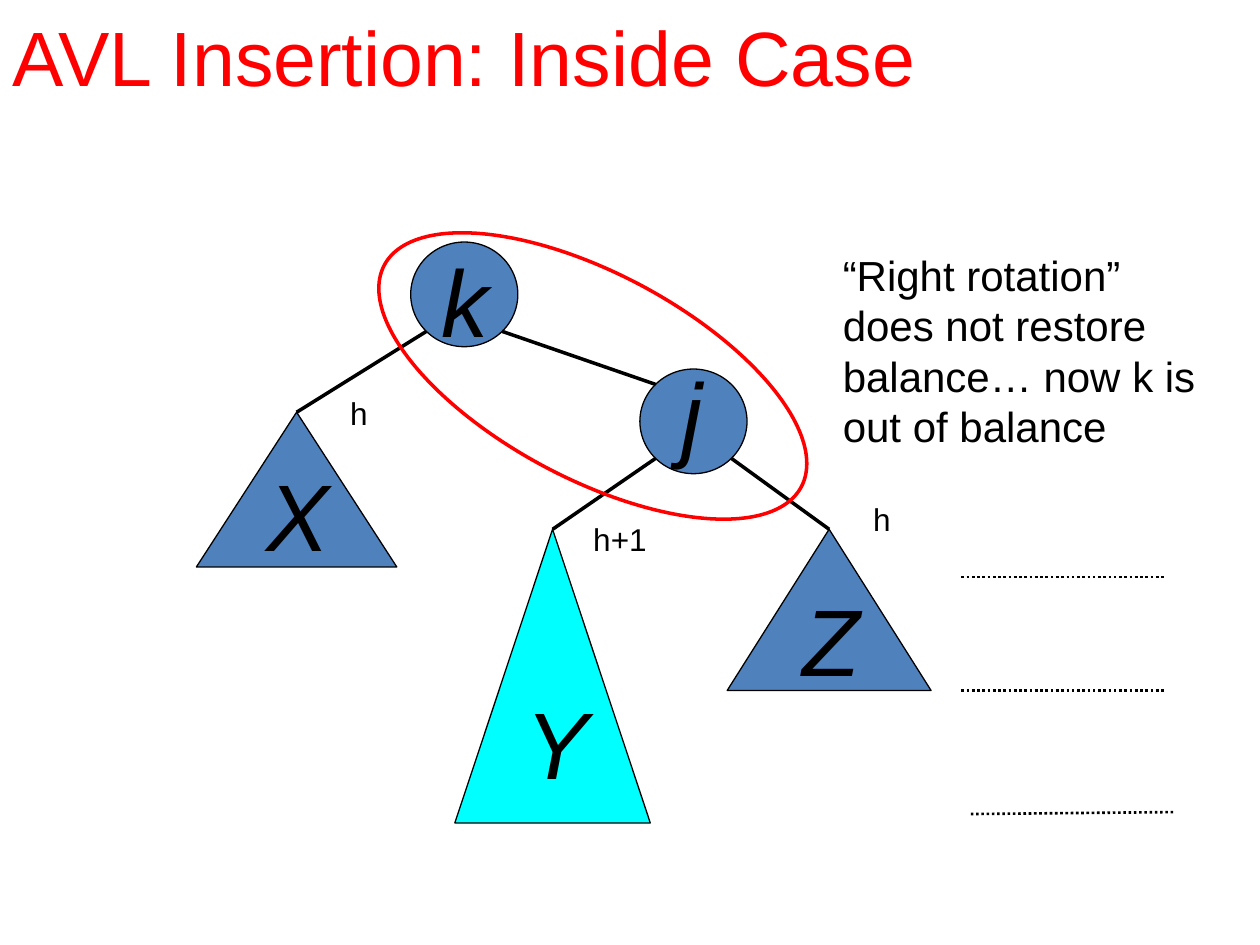
from math import sqrt

from lxml import etree
from pptx import Presentation
from pptx.dml.color import RGBColor
from pptx.enum import dml, shapes, text
from pptx.oxml import ns
from pptx.util import Cm, Pt

BLACK = RGBColor(0x00, 0x00, 0x00)
RED = RGBColor(0xFF, 0x00, 0x00)
BLUE = RGBColor(0x4F, 0x81, 0xBD)
CYAN = RGBColor(0x00, 0xFF, 0xFF)
FONT = "Arial"
NODE_WIDTH, NODE_HEIGHT = 2.16, 2.11


def write(box, lines, size, color=BLACK, italic=False, wrap=False):
    frame = box.text_frame
    frame.auto_size = text.MSO_AUTO_SIZE.NONE
    frame.word_wrap = wrap
    frame.text = "\n".join(lines)
    for para in frame.paragraphs:
        para.alignment = text.PP_ALIGN.LEFT
        para.font.name = FONT
        para.font.size = Pt(size)
        para.font.italic = italic
        para.font.color.rgb = color


def add_text(page, left, top, width, height, lines, size, **style):
    box = page.shapes.add_textbox(Cm(left), Cm(top), Cm(width), Cm(height))
    write(box, lines, size, **style)


def add_outline(page, kind, left, top, width, height, fill=None, line=BLACK, weight=0.75):
    shape = page.shapes.add_shape(kind, Cm(left), Cm(top), Cm(width), Cm(height))
    shape.shadow.inherit = False
    if fill is None:
        shape.fill.background()
    else:
        shape.fill.solid()
        shape.fill.fore_color.rgb = fill
    shape.line.color.rgb = line
    shape.line.width = Pt(weight)
    return shape


def add_line(page, start, end, weight, dash=None):
    line = page.shapes.add_connector(
        shapes.MSO_CONNECTOR.STRAIGHT, *(Cm(value) for value in (*start, *end)))
    line.line.color.rgb = BLACK
    line.line.width = Pt(weight)
    if dash:
        line.line.dash_style = dash
    etree.SubElement(line._element.spPr, ns.qn("a:effectLst"))


def add_title(page, left, top, width, height):
    title = page.shapes.title
    title.left, title.top = Cm(left), Cm(top)
    title.width, title.height = Cm(width), Cm(height)
    write(title, ["AVL Insertion: Inside Case"], 44, color=RED, wrap=True)
    title.text_frame.vertical_anchor = text.MSO_ANCHOR.MIDDLE


def add_tree(page, left, top):
    # Positions inside the tree
    nodes = {"k": (4.32, 0), "j": (8.94, 2.56)}
    subtrees = {
        "X": (0, 3.43, 4.04, 3.12, BLUE),
        "Y": (5.21, 5.79, 3.94, 5.92, CYAN),
        "Z": (10.7, 5.79, 4.11, 3.25, BLUE),
    }
    letters = {"k": (4.7, -0.11), "j": (9.53, 2.18), "X": (1.17, 4.21),
               "Y": (6.38, 8.81), "Z": (11.97, 6.73)}
    heights = [("h", 2.85, 2.94, 0.86), ("h+1", 7.75, 5.48, 1.57), ("h", 13.39, 5.08, 0.91)]

    def rim(name, across, down):
        """Diagonal point on a node's rim; across and down are -1 or 1."""
        x, y = nodes[name]
        return (left + x + NODE_WIDTH / 2 * (1 + across / sqrt(2)),
                top + y + NODE_HEIGHT / 2 * (1 + down / sqrt(2)))

    def apex(name):
        x, y, width, _, _ = subtrees[name]
        return left + x + width / 2, top + y

    # Nodes and subtrees
    for x, y in nodes.values():
        add_outline(page, shapes.MSO_SHAPE.OVAL, left + x, top + y,
                    NODE_WIDTH, NODE_HEIGHT, BLUE)
    for x, y, width, height, fill in subtrees.values():
        add_outline(page, shapes.MSO_SHAPE.ISOSCELES_TRIANGLE, left + x, top + y,
                    width, height, fill)

    # Edges
    for start, end in [
        (rim("k", -1, 1), apex("X")),
        (rim("k", 1, 1), rim("j", -1, -1)),
        (rim("j", -1, 1), apex("Y")),
        (rim("j", 1, 1), apex("Z")),
    ]:
        add_line(page, start, end, 2)

    # Names and subtree heights
    for name, (x, y) in letters.items():
        add_text(page, left + x, top + y, 1.32, 2.54, [name], 54, italic=True, wrap=True)
    for label, x, y, width in heights:
        add_text(page, left + x, top + y, width, 1.02, [label], 18)

    # Ring around the rotated pair
    ring = add_outline(page, shapes.MSO_SHAPE.OVAL, left + 3.23, top + 0.63,
                       9.52, 4.14, line=RED, weight=2)
    ring.rotation = 28


def add_levels(page, left, top, width):
    for x, start_y, end_y in [(0, 0, 0), (0, 2.29, 2.29), (0.19, 4.78, 4.74)]:
        add_line(page, (left + x, top + start_y), (left + x + width, top + end_y),
                 1.5, dml.MSO_LINE.ROUND_DOT)


def add_note(page, left, top, width, height):
    lines = ["“Right rotation”", "does not restore", "balance… now k is", "out of balance"]
    add_text(page, left, top, width, height, lines, 24)


def main():
    deck = Presentation()
    deck.slide_width, deck.slide_height = Cm(25.4), Cm(19.05)
    page = deck.slides.add_slide(deck.slide_layouts[5])
    add_title(page, 0, 0, 21.72, 2.24)
    add_tree(page, 3.96, 4.88)
    add_levels(page, 19.38, 11.63, 4.13)
    add_note(page, 16.74, 4.9, 7.62, 4.32)
    deck.save("out.pptx")


if __name__ == "__main__":
    main()
